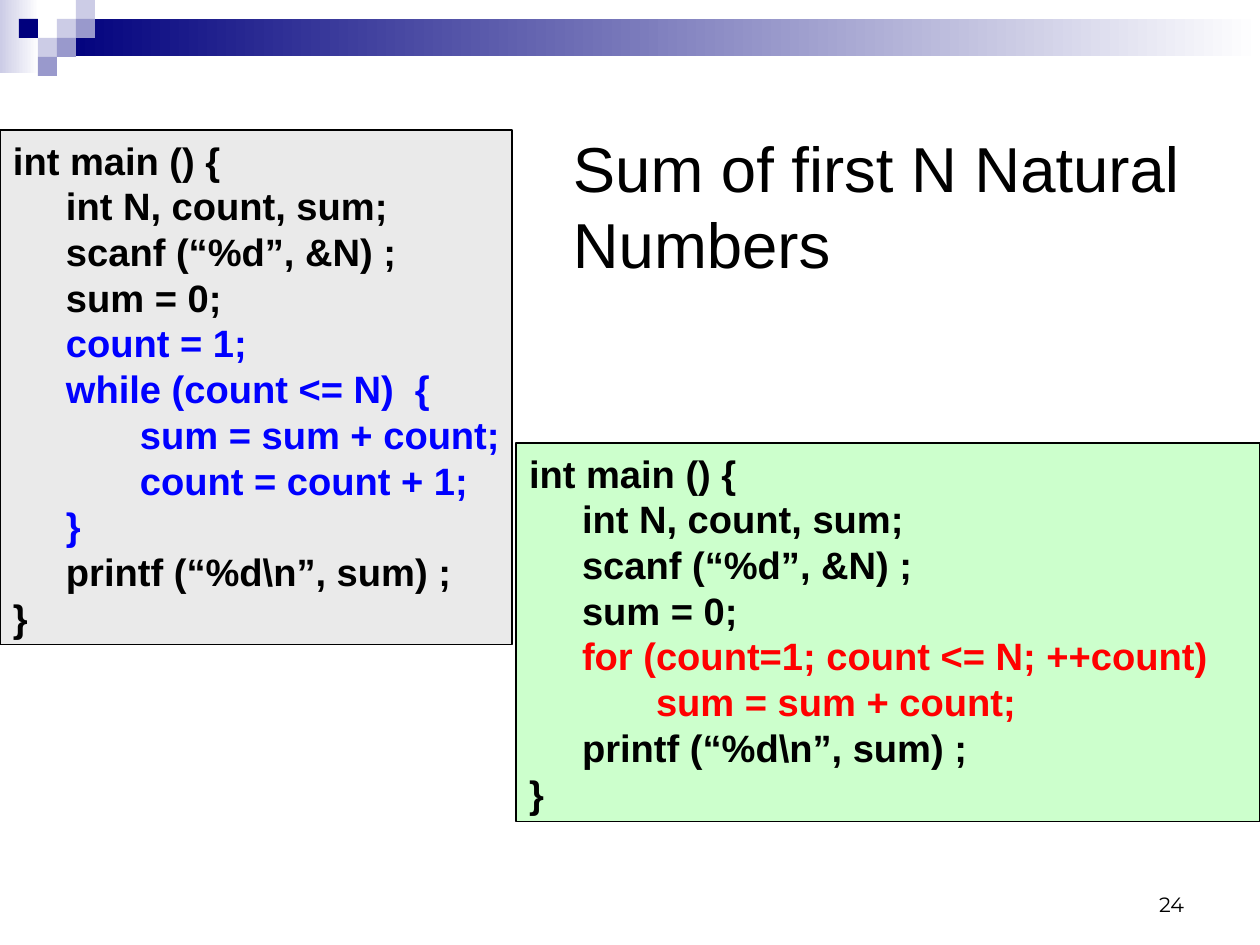
from pptx import Presentation
from pptx.dml.color import RGBColor
from pptx.enum.shapes import MSO_SHAPE
from pptx.enum.text import MSO_ANCHOR, PP_ALIGN
from pptx.util import Pt

PX = 8000
TILE = 19
INDENTS = (0, 53, 127)
BLACK, BLUE, RED = "000000", "0000FF", "FF0000"
NAVY, LILAC, VIOLET, WHITE = "00007D", "CCCCE6", "9999CC", "FFFFFF"

TITLE = "Sum of first N Natural Numbers"
PAGE_NUMBER = "24"
OPENING = [
    (0, "int main () {", BLACK),
    (1, "int N, count, sum;", BLACK),
    (1, "scanf (“%d”, &N) ;", BLACK),
    (1, "sum = 0;", BLACK),
]
CLOSING = [(1, "printf (“%d\\n”, sum) ;", BLACK), (0, "}", BLACK)]
WHILE_LOOP = [
    (1, "count = 1;", BLUE),
    (1, "while (count <= N)  {", BLUE),
    (2, "sum = sum + count;", BLUE),
    (2, "count = count + 1;", BLUE),
    (1, "}", BLUE),
]
FOR_LOOP = [
    (1, "for (count=1; count <= N; ++count)", RED),
    (2, "sum = sum + count;", RED),
]
PROGRAMS = [
    ((0, 130, 512, 515), "EAEAEA", WHILE_LOOP),
    ((516, 443, 744, 379), "CCFFCC", FOR_LOOP),
]
BANDS = [((0, 0, 39, 73), LILAC), ((57, 19, 1203, 37), NAVY)]
MOSAIC = [
    (3, 0, LILAC), (1, 1, NAVY), (3, 1, VIOLET), (3, 0, VIOLET),
    (2, 2, LILAC), (3, 2, VIOLET), (2, 3, VIOLET),
]
MOSAIC = [
    (3, 1, LILAC), (4, 0, LILAC), (4, 1, VIOLET), (2, 2, LILAC),
    (1, 1, NAVY), (3, 2, VIOLET), (2, 3, VIOLET),
]


def color(value):
    return RGBColor.from_string(value)


def emu(box):
    return [length * PX for length in box]


def add_block(slide, box, fill, fade=None, outline=None):
    block = slide.shapes.add_shape(MSO_SHAPE.RECTANGLE, *emu(box))
    block.shadow.inherit = False
    if fade:
        block.fill.gradient()
        block.fill.gradient_angle = 0
        for stop, shade in zip(block.fill.gradient_stops, (fill, fade)):
            stop.color.rgb = color(shade)
    else:
        block.fill.solid()
        block.fill.fore_color.rgb = color(fill)
    if outline:
        block.line.color.rgb = color(outline)
        block.line.width = Pt(0.75)
    else:
        block.line.fill.background()
    return block


def set_frame(shape, insets=(0, 0, 0, 0), anchor=MSO_ANCHOR.TOP):
    frame = shape.text_frame
    frame.word_wrap = True
    frame.vertical_anchor = anchor
    (frame.margin_left, frame.margin_top,
     frame.margin_right, frame.margin_bottom) = emu(insets)
    return frame


def write(paragraph, text, size=24, font="Arial", shade=BLACK, bold=False,
          align=PP_ALIGN.LEFT, indent=0):
    paragraph.alignment = align
    paragraph._p.get_or_add_pPr().set("marL", str(indent * PX))
    run = paragraph.add_run()
    run.text = text
    run.font.size = Pt(size)
    run.font.name = font
    run.font.bold = bold
    run.font.color.rgb = color(shade)


def main():
    deck = Presentation()
    deck.slide_width, deck.slide_height = emu((1260, 945))
    slide = deck.slides.add_slide(deck.slide_layouts[6])

    for box, start in BANDS:
        add_block(slide, box, start, fade=WHITE)
    for column, row, shade in MOSAIC:
        add_block(slide, (column * TILE, row * TILE, TILE, TILE), shade)

    number = slide.shapes.add_textbox(*emu((903, 861, 294, 63)))
    frame = set_frame(number, (13, 7, 13, 7), MSO_ANCHOR.BOTTOM)
    write(frame.paragraphs[0], PAGE_NUMBER, size=13, font="Montserrat",
          align=PP_ALIGN.RIGHT)

    for box, fill, loop in PROGRAMS:
        program = add_block(slide, box, fill, outline=BLACK)
        frame = set_frame(program, (13, 7, 0, 7))
        for i, (level, text, shade) in enumerate(OPENING + loop + CLOSING):
            line = frame.add_paragraph() if i else frame.paragraphs[0]
            write(line, text, shade=shade, bold=True, indent=INDENTS[level])

    heading = slide.shapes.add_textbox(*emu((573, 129, 629, 152)))
    write(set_frame(heading).paragraphs[0], TITLE, size=40)

    deck.save("out.pptx")


if __name__ == "__main__":
    main()
